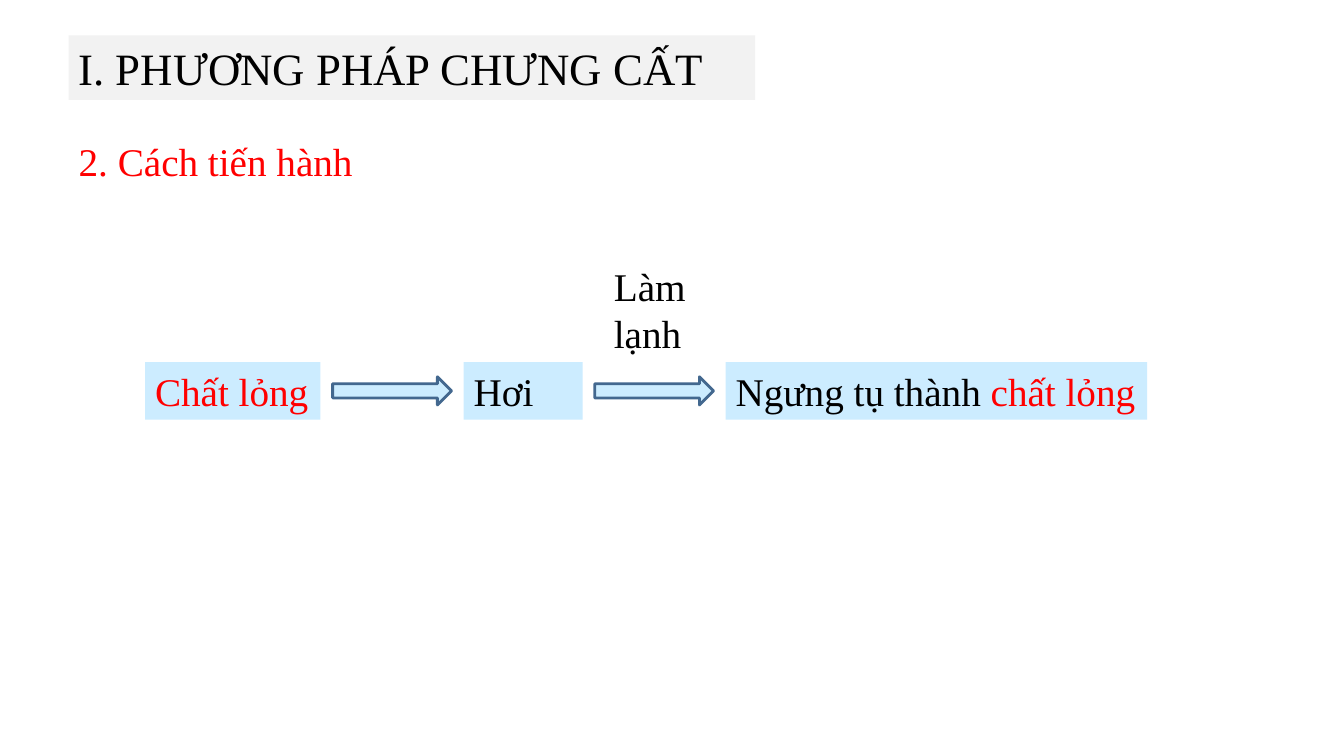
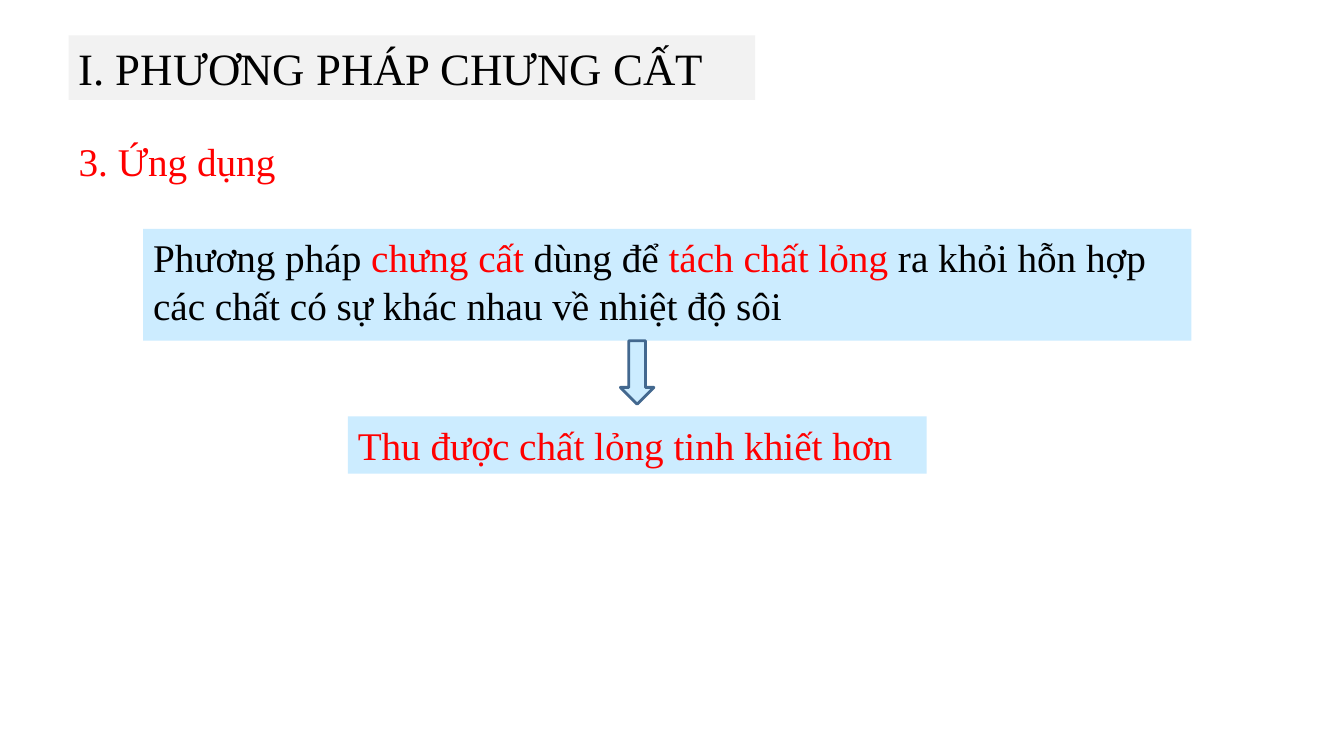
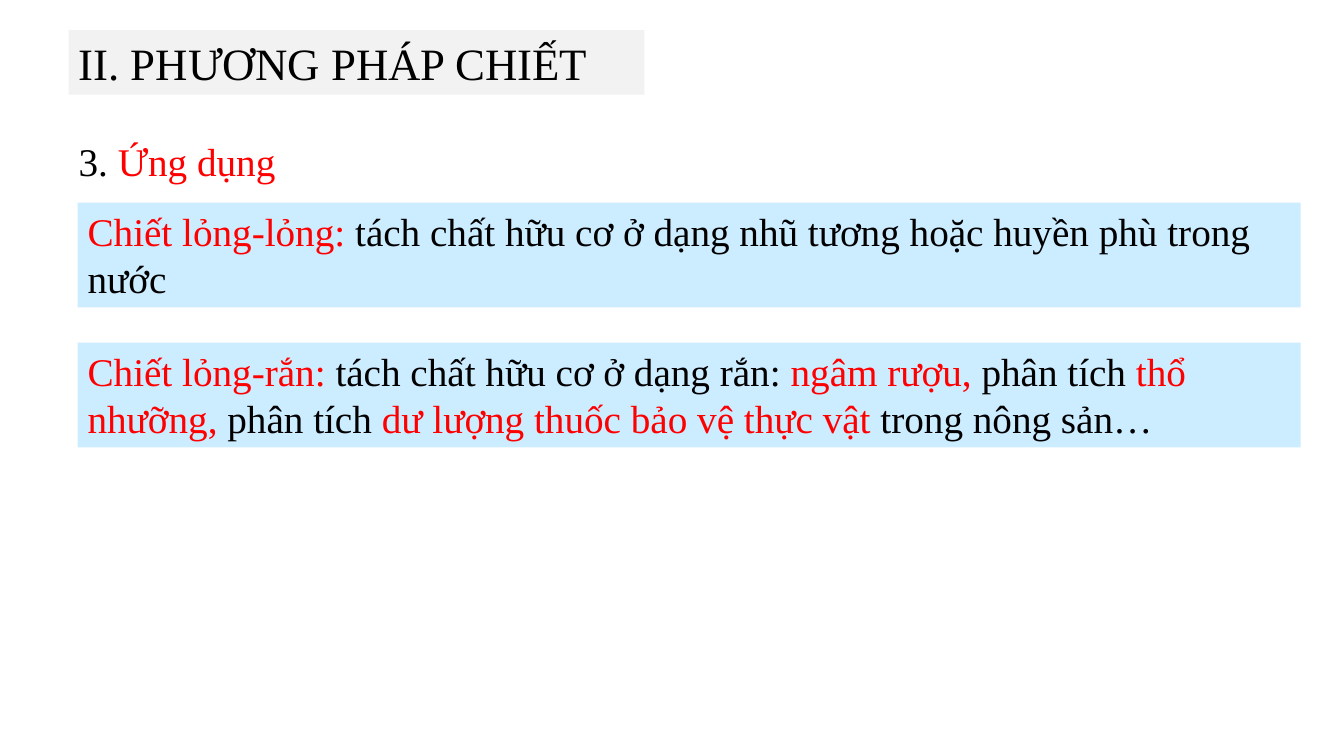
import pptx
import pptx.dml.color
import pptx.enum.shapes
import pptx.enum.text
import pptx.oxml
import pptx.oxml.ns
import pptx.util

WIDTH, HEIGHT = pptx.util.Inches(13.33), pptx.util.Inches(7.5)
BLACK, RED, GREY, SKY, NAVY = "000000", "FF0000", "F2F2F2", "CCECFF", "43688F"
SHAPES = pptx.enum.shapes.MSO_SHAPE
ANCHOR = pptx.enum.text.MSO_ANCHOR

# Shared formats
FRAME = {"word_wrap": True, "auto_size": pptx.enum.text.MSO_AUTO_SIZE.NONE}
PARAGRAPH = {"alignment": pptx.enum.text.PP_ALIGN.LEFT,
             "space_before": pptx.util.Pt(0)}
TITLE_FONT = {"name": "Times New Roman", "size": pptx.util.Pt(32), "bold": False}
BODY_FONT = {**TITLE_FONT, "size": pptx.util.Pt(28)}

# Shares of the slide, in percent: horizontal of its width, vertical of its height
MARGIN = 5.1
TITLE_HEIGHT = 8.53
HEADING_TOP = 17.47
LINE_HEIGHT = 7.6
TWO_LINES = 13.87


def color(code):
    return pptx.dml.color.RGBColor.from_string(code)


def box(left, top, width, height):
    """Turn percent shares into slide lengths."""
    return [round(whole * share / 100) for whole, share in
            zip((WIDTH, HEIGHT, WIDTH, HEIGHT), (left, top, width, height))]


def apply(target, formats):
    for name, value in formats.items():
        setattr(target, name, value)


def paint(shape, code):
    shape.fill.solid()
    shape.fill.fore_color.rgb = color(code)


def write(shape, text, font=BODY_FONT, anchor=ANCHOR.TOP):
    """Fill one paragraph; words between asterisks are red."""
    frame = shape.text_frame
    apply(frame, {**FRAME, "vertical_anchor": anchor})
    paragraph = frame.paragraphs[0]
    apply(paragraph, PARAGRAPH)
    for index, words in enumerate(text.split("*")):
        if words:
            run = paragraph.add_run()
            run.text = words
            apply(run.font, font)
            run.font.color.rgb = color(RED if index % 2 else BLACK)


def place(placeholder, area):
    apply(placeholder, dict(zip(("left", "top", "width", "height"), box(*area))))


def section_slide(deck, title, title_top, title_width, heading, heading_width=24):
    """Add a slide with the grey title band and an unbulleted heading."""
    slide = deck.slides.add_slide(deck.slide_layouts[1])
    band, subtitle = slide.shapes.title, slide.placeholders[1]
    place(band, (MARGIN, title_top, title_width, TITLE_HEIGHT))
    paint(band, GREY)
    write(band, title, TITLE_FONT, ANCHOR.MIDDLE)

    place(subtitle, (MARGIN, HEADING_TOP, heading_width, TITLE_HEIGHT))
    properties = subtitle.text_frame.paragraphs[0]._p.get_or_add_pPr()
    properties.set("marL", "0")
    properties.set("indent", "0")
    properties.append(pptx.oxml.parse_xml(
        f"<a:buNone {pptx.oxml.ns.nsdecls('a')}/>"))
    write(subtitle, heading)
    return slide


def panel(slide, area, text):
    shape = slide.shapes.add_shape(SHAPES.RECTANGLE, *box(*area))
    shape.shadow.inherit = False
    paint(shape, SKY)
    shape.line.fill.background()
    write(shape, text)


def arrow(slide, area, direction):
    shape = slide.shapes.add_shape(direction, *box(*area))
    shape.shadow.inherit = False
    paint(shape, SKY)
    shape.line.color.rgb = color(NAVY)
    shape.line.width = pptx.util.Pt(2)


def label(slide, area, text):
    write(slide.shapes.add_textbox(*box(*area)), text)


def flow(slide, left, top, steps, arrow_width=8.85, arrow_height=3.73, gap=0.9):
    """Lay out steps in a row, joined by arrows at equal gaps."""
    for index, (text, width) in enumerate(steps):
        if index:
            arrow(slide, (left, top + (LINE_HEIGHT - arrow_height) / 2,
                          arrow_width, arrow_height), SHAPES.RIGHT_ARROW)
            left += arrow_width + gap
        panel(slide, (left, top, width, LINE_HEIGHT), text)
        left += width + gap


def main():
    deck = pptx.Presentation()
    apply(deck, {"slide_width": WIDTH, "slide_height": HEIGHT})
    distillation = ("I. PHƯƠNG PHÁP CHƯNG CẤT", 4.67, 51.08)

    # Distillation: procedure
    procedure = section_slide(deck, *distillation, "*2. Cách tiến hành*", 26.78)
    flow(procedure, 10.8, 47.9, [("*Chất lỏng*", 13.05), ("Hơi", 8.85),
                                 ("Ngưng tụ thành *chất lỏng*", 31.36)])
    label(procedure, (44.94, 34, 8.85, TWO_LINES), "Làm lạnh")

    # Distillation: use and its result
    uses = section_slide(deck, *distillation, "*3. Ứng dụng*")
    use_top, use_height = 30.27, 14.8
    result_left, result_width, arrow_width = 25.88, 43.06, 2.5
    panel(uses, (10.65, use_top, 78, use_height),
          "Phương pháp *chưng cất *dùng để *tách chất lỏng *"
          "ra khỏi hỗn hợp các chất có sự khác nhau về nhiệt độ sôi")
    arrow(uses, (result_left + (result_width - arrow_width) / 2,
                 use_top + use_height, arrow_width, 8.4), SHAPES.DOWN_ARROW)
    panel(uses, (result_left, 55.07, result_width, LINE_HEIGHT),
          "*Thu được chất lỏng tinh khiết hơn*")

    # Extraction: uses
    extraction = section_slide(deck, "II. PHƯƠNG PHÁP CHIẾT", 4, 42.84,
                               "3. *Ứng dụng*")
    kinds = [
        "*Chiết lỏng-lỏng: *tách chất hữu cơ ở dạng nhũ tương hoặc huyền phù "
        "trong nước",
        "*Chiết lỏng-rắn: *tách chất hữu cơ ở dạng rắn: *ngâm rượu, *phân tích "
        "*thổ nhưỡng, *phân tích *dư lượng thuốc bảo vệ thực vật *"
        "trong nông sản…",
    ]
    for row, text in enumerate(kinds):
        panel(extraction, (5.78, 26.8 + row * 18.53, 91, TWO_LINES), text)

    deck.save("out.pptx")


if __name__ == "__main__":
    main()
